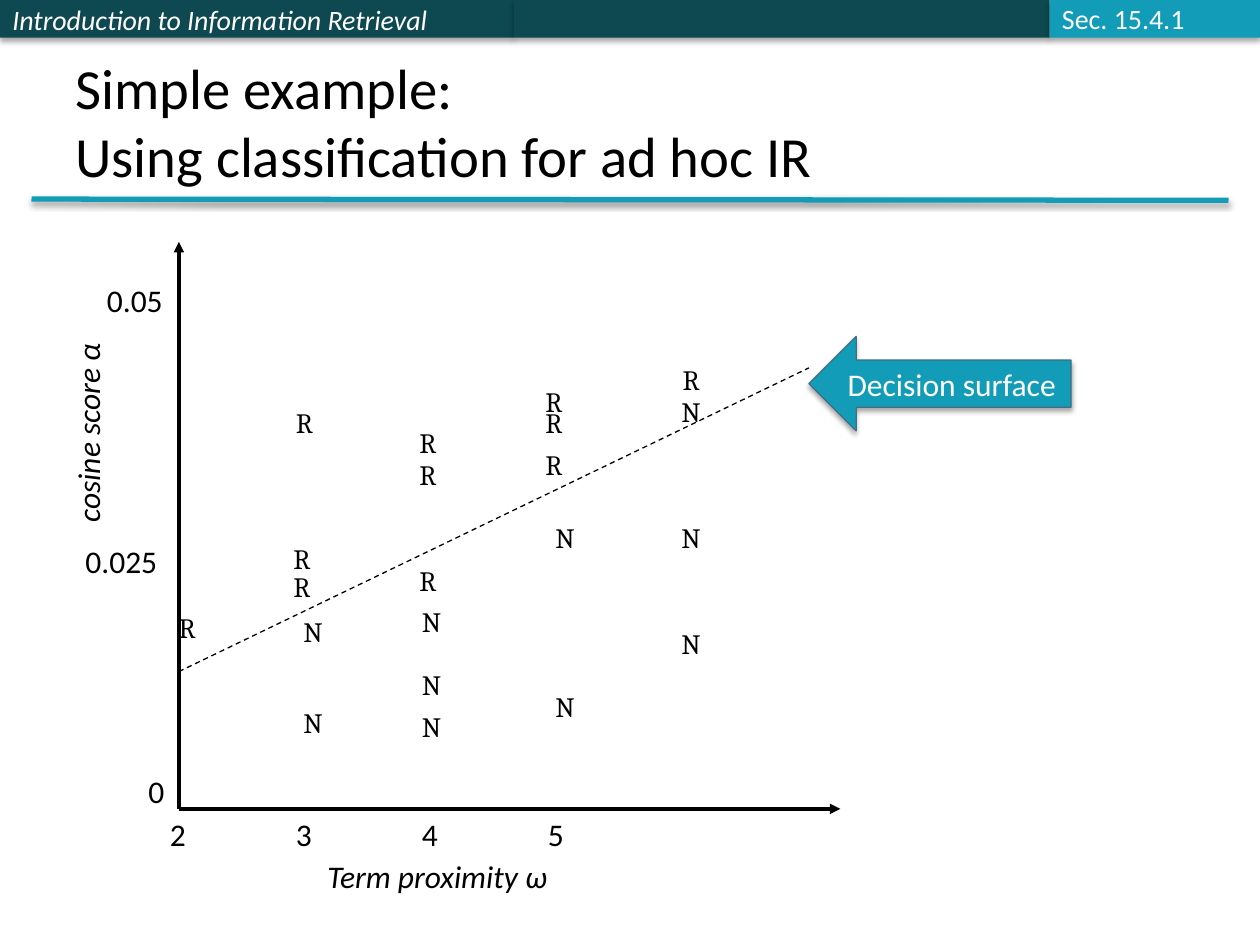
from typing import NamedTuple

from lxml.etree import SubElement
from pptx import Presentation
from pptx.dml.color import RGBColor
from pptx.enum.dml import MSO_LINE as Dash
from pptx.enum.shapes import MSO_CONNECTOR as Link, MSO_SHAPE as Form
from pptx.enum.text import MSO_ANCHOR as Anchor, MSO_AUTO_SIZE as Fit, PP_ALIGN as Align
from pptx.oxml.ns import qn
from pptx.util import Inches, Pt

DARK, TEAL, BLACK, WHITE = "0E4851", "139CB7", "000000", "FFFFFF"


class Box(NamedTuple):
    left: float
    top: float
    width: float
    height: float


class Label(NamedTuple):
    text: str
    box: Box
    size: float = 18
    font: str = "Calibri"
    color: str = BLACK
    italic: bool = False
    turn: int = 0
    anchor: Anchor = Anchor.TOP
    wrap: bool = False


class Line(NamedTuple):
    start: tuple[float, float]
    end: tuple[float, float]
    width: float
    color: str = BLACK
    arrow: bool = False
    dashed: bool = False
    shade: bool = False


class Block(NamedTuple):
    form: Form
    box: Box
    fill: str
    text: str = ""
    size: float = 16
    italic: bool = False
    align: Align = Align.LEFT
    edge: str = ""


def paint(hue: str) -> RGBColor:
    return RGBColor.from_string(hue)


def style(para, size: float, font: str, color: str, italic: bool) -> None:
    para.font.size = Pt(size)
    para.font.name = font
    para.font.italic = italic
    para.font.color.rgb = paint(color)


def add_shade(effects, alpha: int, drop: float) -> None:
    glow = SubElement(effects, qn("a:outerShdw"), blurRad=str(Pt(3.1)),
                      dist=str(Pt(drop)), dir="5400000", rotWithShape="0")
    tint = SubElement(glow, qn("a:srgbClr"), val=BLACK)
    SubElement(tint, qn("a:alpha"), val=str(alpha * 1000))


def add_label(slide, item: Label) -> None:
    shape = slide.shapes.add_textbox(*map(Inches, item.box))
    shape.rotation = item.turn
    frame = shape.text_frame
    frame.word_wrap = item.wrap
    frame.auto_size = Fit.NONE if item.wrap else Fit.SHAPE_TO_FIT_TEXT
    frame.vertical_anchor = item.anchor
    para = frame.paragraphs[0]
    para.text = item.text
    style(para, item.size, item.font, item.color, item.italic)


def add_line(slide, item: Line) -> None:
    link = slide.shapes.add_connector(
        Link.STRAIGHT, *map(Inches, item.start + item.end))
    link.line.width = Pt(item.width)
    link.line.color.rgb = paint(item.color)
    if item.dashed:
        link.line.dash_style = Dash.DASH
    props = link.element.spPr
    if item.arrow:
        SubElement(props.find(qn("a:ln")), qn("a:tailEnd"), type="triangle")
    effects = SubElement(props, qn("a:effectLst"))
    if item.shade:
        add_shade(effects, 38, 1.6)


def add_block(slide, item: Block) -> None:
    shape = slide.shapes.add_shape(item.form, *map(Inches, item.box))
    shape.fill.solid()
    shape.fill.fore_color.rgb = paint(item.fill)
    if item.edge:
        shape.line.color.rgb = paint(item.edge)
        shape.line.width = Pt(0.75)
    else:
        shape.line.fill.background()
    shape.shadow.inherit = False
    add_shade(shape.element.spPr.find(qn("a:effectLst")), 35, 1.8)
    if item.text:
        frame = shape.text_frame
        frame.vertical_anchor = Anchor.MIDDLE
        para = frame.paragraphs[0]
        para.text = item.text
        para.alignment = item.align
        style(para, item.size, "Calibri", WHITE, item.italic)


# Header bar
BARS = [
    Block(Form.RECTANGLE, Box(0, 0, 4.08, 0.3), DARK,
          "Introduction to Information Retrieval", italic=True),
    Block(Form.RECTANGLE, Box(4.08, 0, 4.25, 0.3), DARK),
    Block(Form.RECTANGLE, Box(8.33, 0, 1.67, 0.3), TEAL),
]
HEADS = [
    Label("Simple example:\vUsing classification for ad hoc IR",
          Box(0.5, 0.3, 9, 1.25), 32.4, anchor=Anchor.BOTTOM, wrap=True),
    Label("Sec. 15.4.1", Box(8.33, -0.04, 1.19, 0.37), 16,
          color="FBFCFF", anchor=Anchor.MIDDLE),
]

# Title rule, axes and decision line
ZERO = (1.42, 6.42)
LINES = [
    Line((0.25, 1.58), (9.75, 1.59), 3, TEAL, shade=True),
    Line(ZERO, (6.67, 6.42), 2, arrow=True),
    Line(ZERO, (1.42, 1.92), 2, arrow=True),
    Line((1.42, 5.33), (6.42, 2.92), 0.75, dashed=True),
]

# Axis names and ticks
TICKS = [Label(str(n), Box(n - 0.75, 6.42, 0.34, 0.4)) for n in range(2, 6)]
NAMES = [
    Label("0", Box(1.08, 6.08, 0.34, 0.4)),
    Label("0.025", Box(0.58, 4.25, 0.83, 0.4)),
    Label("0.05", Box(0.75, 2.18, 0.69, 0.4)),
    Label("cosine score α", Box(-0.22, 3.13, 1.83, 0.4), italic=True, turn=270),
    Label("Term proximity ω", Box(2.5, 6.75, 2.1, 0.4), italic=True),
]

# Relevant (R) and nonrelevant (N) points: column left, then tops
POINTS = {
    "R": {1.32: [4.8], 2.23: [4.25, 4.47], 2.25: [3.17],
          3.23: [3.33, 3.58, 4.42], 4.23: [3, 3.17, 3.5], 5.32: [2.83]},
    "N": {2.31: [4.83, 5.55], 3.25: [4.75, 5.25, 5.58],
          4.31: [4.08, 5.42], 5.31: [3.08, 4.08, 4.92]},
}
WIDTHS = {"R": 0.35, "N": 0.36}
MARKS = [Label(kind, Box(left, top, WIDTHS[kind], 0.37), 16, "Cambria")
         for kind, cols in POINTS.items()
         for left, tops in cols.items() for top in tops]

# Callout
CALL = Block(Form.LEFT_ARROW, Box(6.42, 2.67, 2.08, 0.75), TEAL,
             "Decision surface", 18, align=Align.CENTER, edge="406E84")


def main() -> None:
    deck = Presentation()
    deck.slide_width, deck.slide_height = Inches(10), Inches(7.5)
    slide = deck.slides.add_slide(deck.slide_layouts[6])
    for bar in BARS:
        add_block(slide, bar)
    for line in LINES:
        add_line(slide, line)
    for label in HEADS + TICKS + NAMES + MARKS:
        add_label(slide, label)
    add_block(slide, CALL)
    deck.save("out.pptx")


if __name__ == "__main__":
    main()
